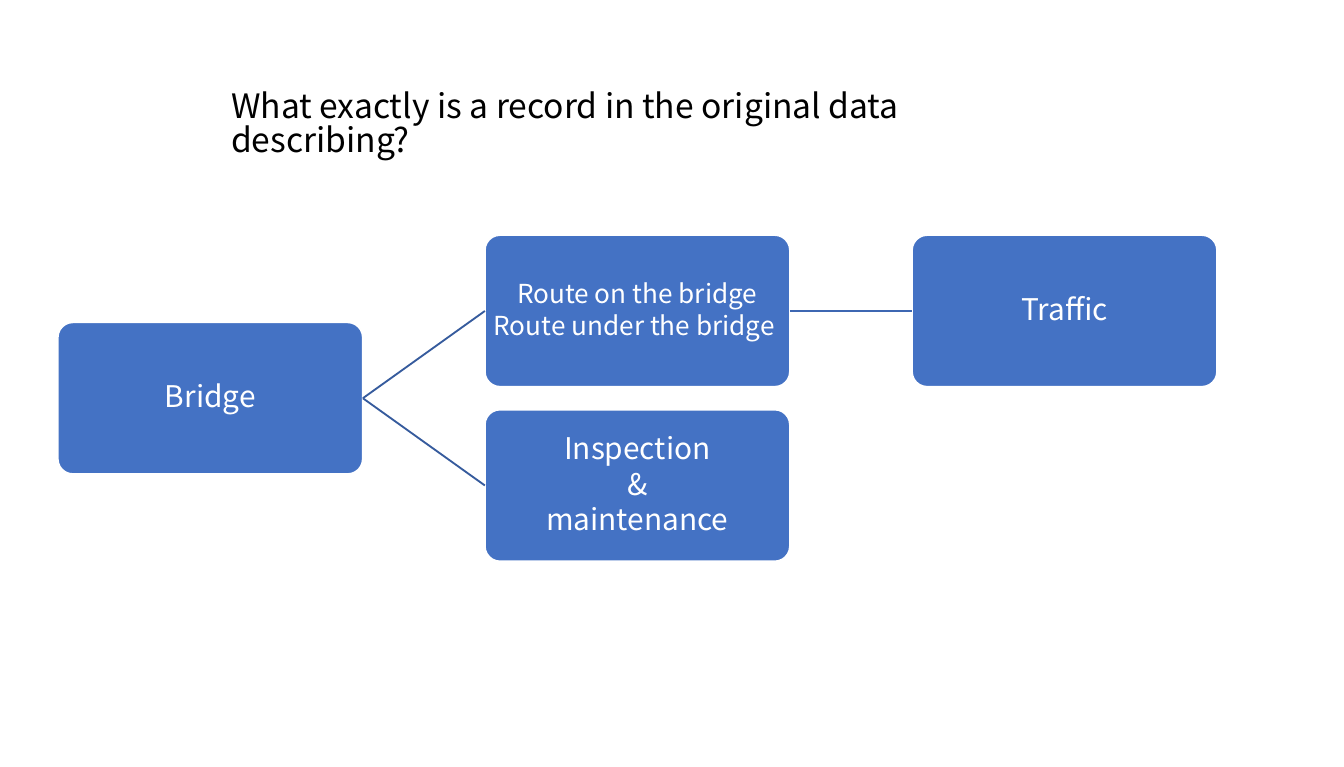
from lxml import etree
from pptx import Presentation
from pptx.dml.color import RGBColor
from pptx.enum.shapes import MSO_CONNECTOR, MSO_SHAPE
from pptx.enum.text import MSO_ANCHOR, MSO_AUTO_SIZE, PP_ALIGN
from pptx.oxml.ns import qn
from pptx.util import Inches, Pt

ROUND = MSO_SHAPE.ROUNDED_RECTANGLE
STRAIGHT = MSO_CONNECTOR.STRAIGHT
TOP, MIDDLE = MSO_ANCHOR.TOP, MSO_ANCHOR.MIDDLE
LEFT, CENTER = PP_ALIGN.LEFT, PP_ALIGN.CENTER
NO_FIT = MSO_AUTO_SIZE.NONE
LEFT_SIDE, RIGHT_SIDE = 1, 3

WHITE = RGBColor(0xFF, 0xFF, 0xFF)
BLACK = RGBColor(0x00, 0x00, 0x00)
BLUE = RGBColor(0x44, 0x72, 0xC4)
DARK = RGBColor(0x36, 0x5B, 0x9D)
MID = RGBColor(0x3E, 0x67, 0xB2)

FONT = "Noto Sans CJK SC"
BOX_W, BOX_H = 2.27, 1.13
COL_STEP, ROW_STEP = 1.4 * BOX_W, 1.15 * BOX_H
GRID_X, GRID_Y = 0.43, 1.75

# name: (column, row, text size, lines)
BOXES = {
    "bridge": (0, 0.5, 16, ["Bridge"]),
    "route": (1, 0, 14, ["Route on the bridge", "Route under the bridge "]),
    "traffic": (2, 0, 16, ["Traffic"]),
    "care": (1, 1, 16, ["Inspection", "&", "maintenance"]),
}
LINKS = [
    ("bridge", "route", DARK),
    ("route", "traffic", MID),
    ("bridge", "care", DARK),
]


def set_all(item, values):
    for name, value in values.items():
        setattr(item, name, value)


def write(frame, lines, size, color, layout):
    """Fill a text frame, one paragraph for each line."""
    for i, line in enumerate(lines):
        par = frame.paragraphs[0] if i == 0 else frame.add_paragraph()
        par.text = line
        set_all(par, layout)
        set_all(par.font, {"name": FONT, "size": Pt(size)})
        par.font.color.rgb = color


def add_title(slide, text):
    title = slide.shapes.title
    set_all(title, {
        "left": Inches(1.62), "top": Inches(0.63),
        "width": Inches(6.25), "height": Inches(0.4),
    })
    frame = title.text_frame
    set_all(frame, {
        "word_wrap": True, "auto_size": NO_FIT, "vertical_anchor": TOP,
    })
    write(frame, [text], 18, BLACK, {"alignment": LEFT, "line_spacing": 0.85})


def add_box(slide, col, row, size, lines):
    box = slide.shapes.add_shape(
        ROUND,
        Inches(GRID_X + col * COL_STEP), Inches(GRID_Y + row * ROW_STEP),
        Inches(BOX_W), Inches(BOX_H),
    )
    box.adjustments[0] = 0.1
    box.shadow.inherit = False
    box.fill.solid()
    box.fill.fore_color.rgb = BLUE
    box.line.color.rgb = WHITE
    box.line.width = Pt(1)
    frame = box.text_frame
    set_all(frame, {"word_wrap": True, "vertical_anchor": MIDDLE})
    sides = ("left", "top", "right", "bottom")
    set_all(frame, {f"margin_{side}": Inches(0.01) for side in sides})
    write(frame, lines, size, WHITE, {
        "alignment": CENTER, "line_spacing": 0.9,
        "space_after": Pt(0.12 * size),
    })
    return box


def add_link(slide, start, end, color):
    link = slide.shapes.add_connector(STRAIGHT, 0, 0, 0, 0)
    link.begin_connect(start, RIGHT_SIDE)
    link.end_connect(end, LEFT_SIDE)
    link.line.color.rgb = color
    link.line.width = Pt(1)
    etree.SubElement(link._element.spPr, qn("a:effectLst"))


def main():
    deck = Presentation()
    set_all(deck, {"slide_width": Inches(10), "slide_height": Inches(5.71)})
    slide = deck.slides.add_slide(deck.slide_layouts[5])
    add_title(slide, "What exactly is a record in the original data describing?")
    boxes = {name: add_box(slide, *item) for name, item in BOXES.items()}
    for start, end, color in LINKS:
        add_link(slide, boxes[start], boxes[end], color)
    deck.save("out.pptx")


if __name__ == "__main__":
    main()
